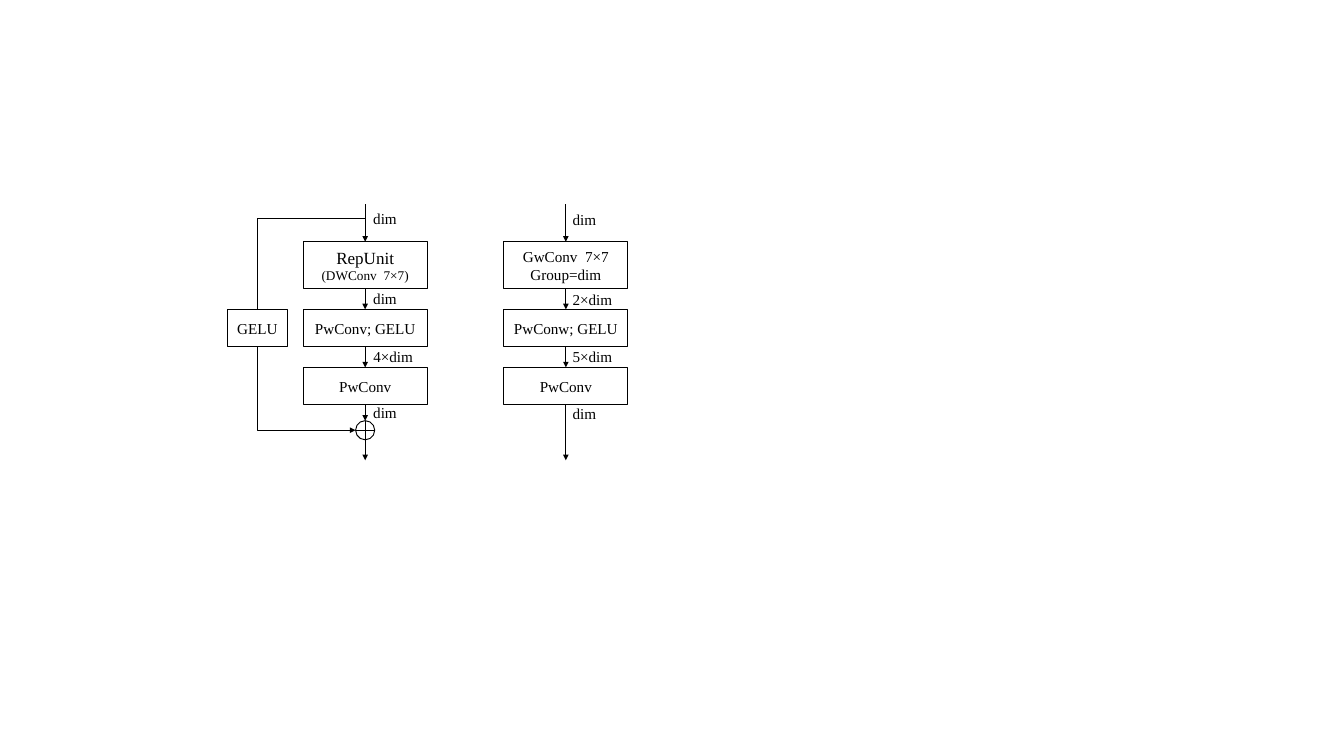
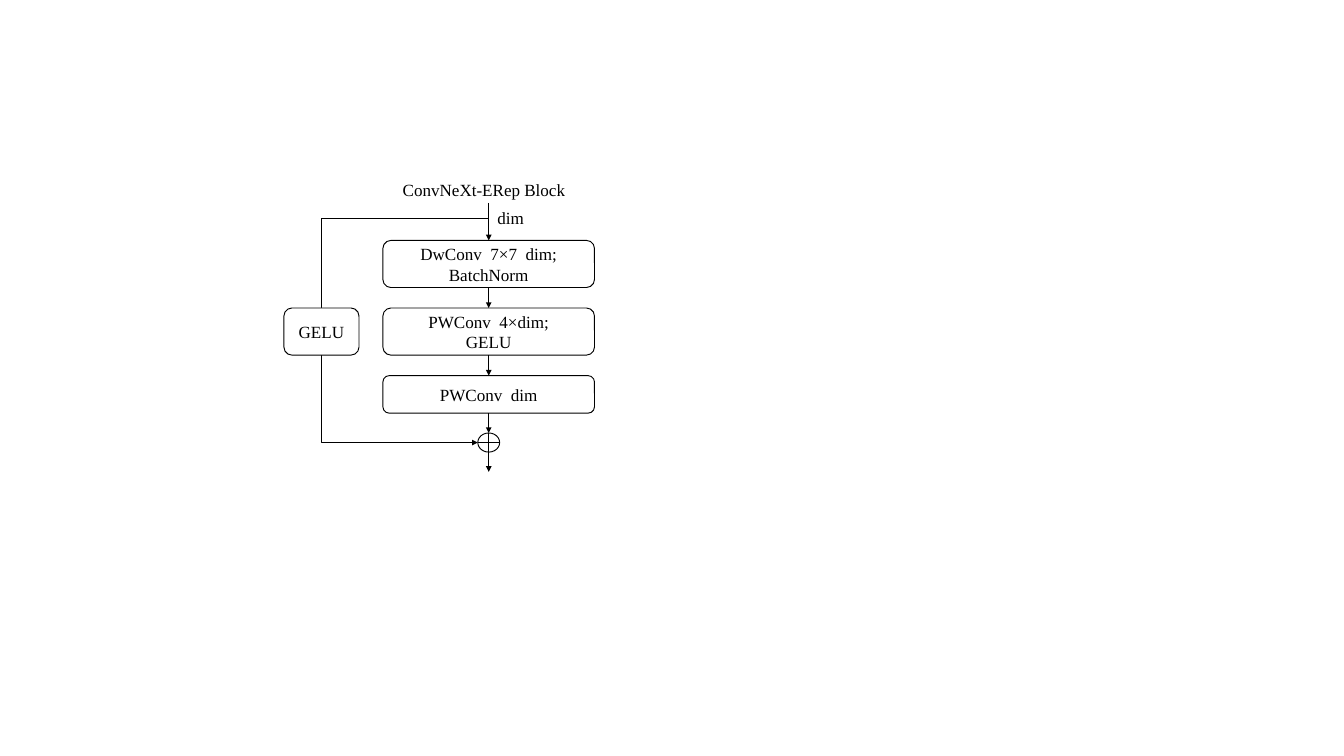
"""Build two slides of convolution block diagrams."""
from dataclasses import dataclass

from lxml import etree
from pptx import Presentation
from pptx.dml.color import RGBColor
from pptx.enum.shapes import MSO_CONNECTOR, MSO_SHAPE
from pptx.enum.text import MSO_ANCHOR, MSO_AUTO_SIZE, PP_ALIGN
from pptx.oxml.ns import qn
from pptx.shapes.autoshape import Shape
from pptx.shapes.connector import Connector
from pptx.slide import Slide
from pptx.text.text import TextFrame
from pptx.util import Emu, Pt

STRAIGHT, ELBOW = MSO_CONNECTOR.STRAIGHT, MSO_CONNECTOR.ELBOW
ROUNDED, SUM_SIGN = MSO_SHAPE.ROUNDED_RECTANGLE, MSO_SHAPE.FLOWCHART_OR
TOP, MIDDLE = MSO_ANCHOR.TOP, MSO_ANCHOR.MIDDLE
LEFT, CENTER = PP_ALIGN.LEFT, PP_ALIGN.CENTER
FIT_SHAPE, NO_FIT = MSO_AUTO_SIZE.SHAPE_TO_FIT_TEXT, MSO_AUTO_SIZE.NONE
TOP_SIDE, BOTTOM_SIDE = 0, 2
EMU_PER_PX = 9144
SLIDE_WIDTH, SLIDE_HEIGHT = 1969, 1107
TITLE_ONLY, BLANK = 5, 6


@dataclass(frozen=True)
class Theme:
    """Colours, font and sizes shared by the slides."""

    ink: RGBColor = RGBColor(0, 0, 0)
    paper: RGBColor = RGBColor(255, 255, 255)
    font: str = "Times New Roman"
    small: int = 14
    medium: int = 16
    large: int = 18
    stroke: int = 1


THEME = Theme()


@dataclass(frozen=True)
class Line:
    """One line of text and its size in points."""

    text: str
    size: int


@dataclass(frozen=True)
class Block:
    """One operation box; left and width come from its chain."""

    top: int
    height: int
    lines: tuple[Line, ...]


@dataclass(frozen=True)
class Label:
    """Channel count beside an arrow."""

    top: int
    width: int
    line: Line


@dataclass(frozen=True)
class Shortcut:
    """Side branch through one box into the sum sign."""

    rail: int
    fork_top: int
    box_width: int
    block: Block
    sum_top: int
    sum_width: int
    sum_height: int


@dataclass(frozen=True)
class Chain:
    """Vertical run of blocks centred on a spine."""

    spine: int
    width: int
    entry: int
    exit: int
    corner: float
    blocks: tuple[Block, ...]
    label_left: int
    labels: tuple[Label, ...]
    shortcut: Shortcut | None = None


def px(length: int) -> Emu:
    """Turn pixels into EMU."""
    return Emu(length * EMU_PER_PX)


def write(frame: TextFrame, lines: tuple[Line, ...], align: PP_ALIGN, anchor: MSO_ANCHOR) -> None:
    """Fill a text frame with one paragraph per line."""
    frame.word_wrap = True
    frame.vertical_anchor = anchor
    for index, line in enumerate(lines):
        paragraph = frame.add_paragraph() if index else frame.paragraphs[0]
        paragraph.alignment = align
        run = paragraph.add_run()
        run.text = line.text
        run.font.name = THEME.font
        run.font.size = Pt(line.size)
        run.font.color.rgb = THEME.ink


def draw_outline(slide: Slide, kind: MSO_SHAPE, left: int, top: int, width: int, height: int) -> Shape:
    """Draw a white shape with a thin dark outline."""
    outline = slide.shapes.add_shape(kind, px(left), px(top), px(width), px(height))
    outline.shadow.inherit = False
    outline.fill.solid()
    outline.fill.fore_color.rgb = THEME.paper
    outline.line.color.rgb = THEME.ink
    outline.line.width = Pt(THEME.stroke)
    return outline


def draw_block(slide: Slide, block: Block, center: int, width: int, corner: float) -> Shape:
    """Draw an operation box centred on a vertical axis."""
    box = draw_outline(slide, ROUNDED, center - width // 2, block.top, width, block.height)
    box.adjustments[0] = corner
    write(box.text_frame, block.lines, CENTER, MIDDLE)
    return box


def draw_arrow(slide: Slide, kind: MSO_CONNECTOR, start: tuple[int, int], end: tuple[int, int]) -> Connector:
    """Draw a connector with a triangular head at its end."""
    arrow = slide.shapes.add_connector(kind, *map(px, start + end))
    arrow.line.color.rgb = THEME.ink
    arrow.line.width = Pt(THEME.stroke)
    properties = arrow.element.spPr
    etree.SubElement(properties.get_or_add_ln(), qn("a:tailEnd"), type="triangle")
    etree.SubElement(properties, qn("a:effectLst"))
    return arrow


def draw_shortcut(slide: Slide, shortcut: Shortcut, spine: int, corner: float) -> None:
    """Draw the sum sign, the bent arrow into it and the box on the rail."""
    sum_left = spine - shortcut.sum_width // 2
    draw_outline(slide, SUM_SIGN, sum_left, shortcut.sum_top, shortcut.sum_width, shortcut.sum_height)
    sum_middle = shortcut.sum_top + shortcut.sum_height // 2
    bend = draw_arrow(slide, ELBOW, (spine, shortcut.fork_top), (sum_left, sum_middle))
    ratio = round(100000 * (spine - shortcut.rail) / (spine - sum_left))
    guides = bend.element.spPr.find(".//" + qn("a:avLst"))
    etree.SubElement(guides, qn("a:gd"), name="adj1", fmla=f"val {ratio}")
    draw_block(slide, shortcut.block, shortcut.rail, shortcut.box_width, corner)


def draw_chain(slide: Slide, chain: Chain) -> None:
    """Draw the blocks, their arrows, the shortcut and the labels."""
    spine, shortcut = chain.spine, chain.shortcut
    if shortcut:
        draw_shortcut(slide, shortcut, spine, chain.corner)
    boxes = [draw_block(slide, block, spine, chain.width, chain.corner) for block in chain.blocks]
    starts = [chain.entry] + [block.top + block.height for block in chain.blocks]
    ends = [block.top for block in chain.blocks] + [shortcut.sum_top if shortcut else chain.exit]
    sources, targets = [None, *boxes], [*boxes, None]
    for start, end, source, target in zip(starts, ends, sources, targets):
        arrow = draw_arrow(slide, STRAIGHT, (spine, start), (spine, end))
        if source:
            arrow.begin_connect(source, BOTTOM_SIDE)
        if target:
            arrow.end_connect(target, TOP_SIDE)
    if shortcut:
        sum_bottom = shortcut.sum_top + shortcut.sum_height
        draw_arrow(slide, STRAIGHT, (spine, sum_bottom), (spine, chain.exit))
    for label in chain.labels:
        caption = slide.shapes.add_textbox(px(chain.label_left), px(label.top), px(label.width), px(37))
        write(caption.text_frame, (label.line,), LEFT, TOP)
        caption.text_frame.auto_size = FIT_SHAPE


def place_title(slide: Slide, line: Line, left: int, top: int, width: int, height: int) -> None:
    """Move and format the title placeholder."""
    title = slide.shapes.title
    title.left, title.top, title.width, title.height = map(px, (left, top, width, height))
    write(title.text_frame, (line,), LEFT, TOP)
    title.text_frame.auto_size = NO_FIT


def medium(text: str) -> Line:
    """Return a line in the medium size."""
    return Line(text, THEME.medium)


def large(text: str) -> Line:
    """Return a line in the large size."""
    return Line(text, THEME.large)


REP_UNIT_CHAIN = Chain(
    spine=535, width=182, entry=299, exit=674, corner=0,
    blocks=(
        Block(354, 69, (large("RepUnit"), Line("(DWConv  7×7)", THEME.small))),
        Block(453, 55, (medium("PwConv; GELU"),)),
        Block(538, 55, (medium("PwConv"),)),
    ),
    label_left=537,
    labels=(
        Label(301, 66, medium("dim")),
        Label(419, 66, medium("dim")),
        Label(504, 89, medium("4×dim")),
        Label(586, 66, medium("dim")),
    ),
    shortcut=Shortcut(377, 320, 88, Block(453, 55, (medium("GELU"),)), 616, 28, 28),
)
GROUP_CHAIN = Chain(
    spine=829, width=182, entry=299, exit=674, corner=0,
    blocks=(
        Block(354, 69, (medium("GwConv  7×7"), medium("Group=dim"))),
        Block(453, 55, (medium("PwConw; GELU"),)),
        Block(538, 55, (medium("PwConv"),)),
    ),
    label_left=829,
    labels=(
        Label(303, 66, medium("dim")),
        Label(420, 89, medium("2×dim")),
        Label(504, 89, medium("5×dim")),
        Label(587, 66, medium("dim")),
    ),
)
EREP_CHAIN = Chain(
    spine=716, width=310, entry=297, exit=691, corner=0.17,
    blocks=(
        Block(352, 69, (large("DwConv  7×7  dim;"), large("BatchNorm"))),
        Block(451, 69, (large("PWConv  4×dim;"), large("GELU"))),
        Block(550, 55, (large("PWConv  dim"),)),
    ),
    label_left=719,
    labels=(Label(299, 66, large("dim")),),
    shortcut=Shortcut(471, 320, 110, Block(451, 69, (large("GELU"),)), 634, 32, 28),
)


def main() -> None:
    """Build and save the presentation."""
    deck = Presentation()
    deck.slide_width, deck.slide_height = px(SLIDE_WIDTH), px(SLIDE_HEIGHT)
    comparison = deck.slides.add_slide(deck.slide_layouts[BLANK])
    for chain in (REP_UNIT_CHAIN, GROUP_CHAIN):
        draw_chain(comparison, chain)
    erep_block = deck.slides.add_slide(deck.slide_layouts[TITLE_ONLY])
    place_title(erep_block, large("ConvNeXt-ERep Block"), 580, 258, 271, 40)
    draw_chain(erep_block, EREP_CHAIN)
    deck.save("out.pptx")


if __name__ == "__main__":
    main()
